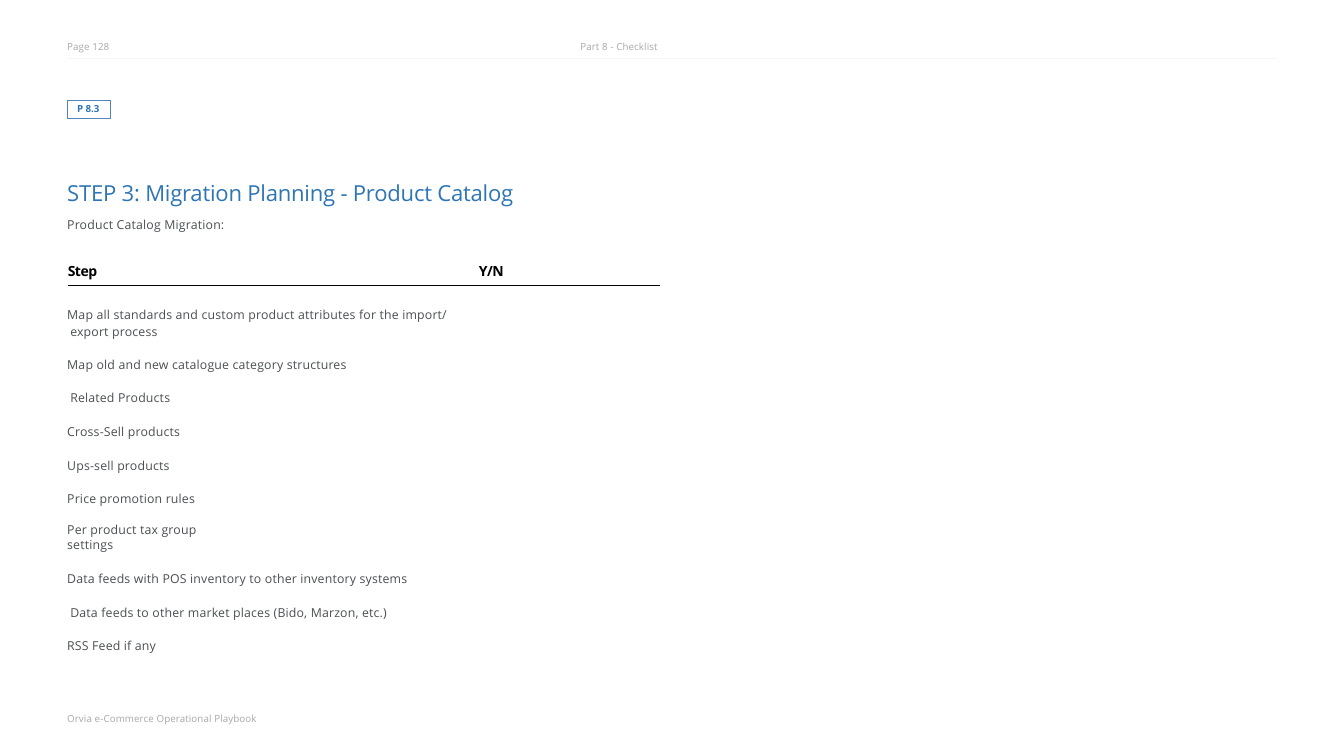
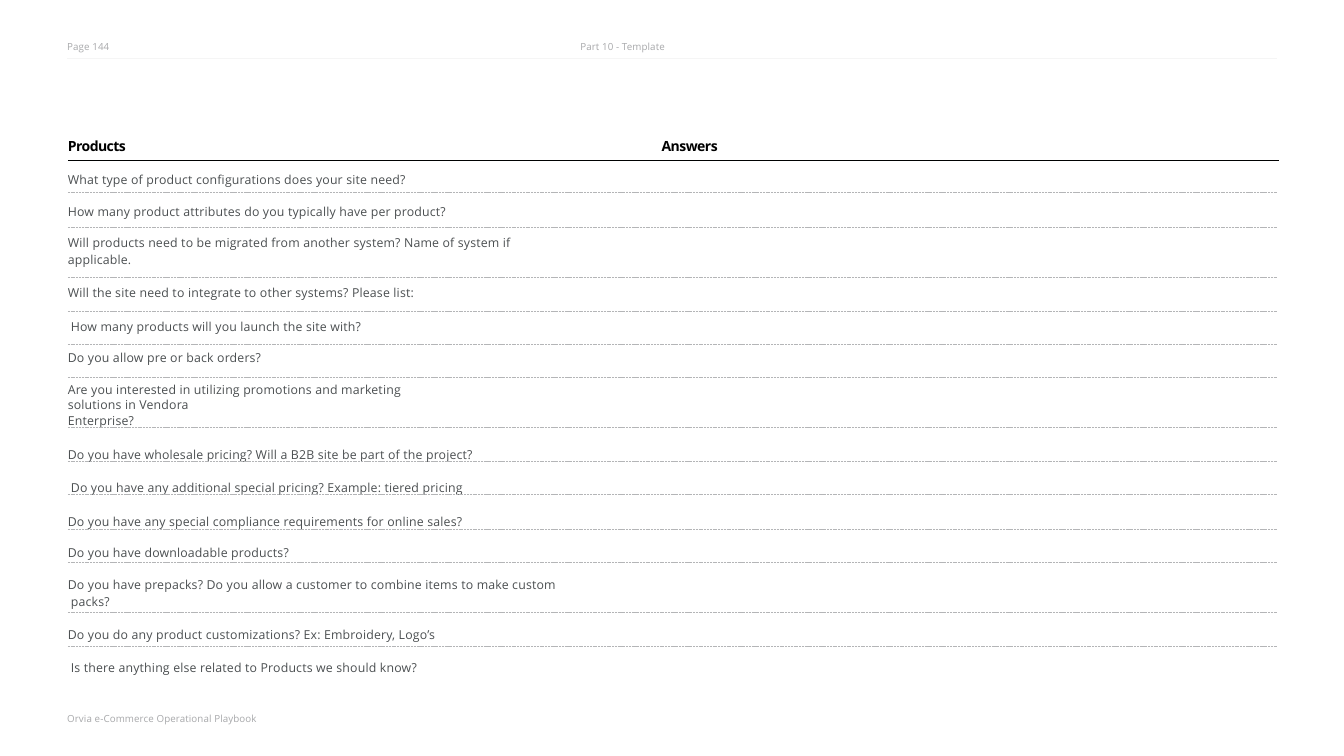
import dataclasses

import lxml.etree
import pptx
import pptx.dml.color
import pptx.enum.dml
import pptx.enum.shapes
import pptx.enum.text
import pptx.oxml.ns
import pptx.util

WIDTH = pptx.util.Inches(21.99)
HEIGHT = pptx.util.Inches(12.37)
GRID_COLUMNS = 22
LEFT, RIGHT = 1.1, 20.9
HEAD_INSET = 0.01
HEAD_HEIGHT = 0.39
WORD_SPACE = 0.05
PLAIN_TABLE = "{2D5ABB26-0587-4C30-8999-92F81FD0307C}"
SHIFTED = {"first": WORD_SPACE, "rest": WORD_SPACE}
SOLID = pptx.enum.dml.MSO_LINE.SOLID
DOTTED = pptx.enum.dml.MSO_LINE.SQUARE_DOT

COLORS = {
    "blue": "2E75B5",
    "badge": "5383BD",
    "body": "4B4F51",
    "muted": "A7A8AA",
    "head": "000000",
    "rule": "000101",
    "dots": "B4B5B7",
    "band": "F5F5F5",
}

STYLES = {
    "title": {"size": 26, "bold": False, "color": "blue", "tracking": -27},
    "body": {"size": 14.5, "bold": False, "color": "body", "tracking": 20},
    "head": {"size": 16.5, "bold": True, "color": "head", "tracking": -60},
    "muted": {"size": 11.5, "bold": False, "color": "muted", "tracking": 10},
    "badge": {"size": 11.5, "bold": True, "color": "blue", "tracking": -10},
}

FRAME = {
    "margin_left": 0,
    "margin_top": 0,
    "margin_right": 0,
    "margin_bottom": 0,
    "word_wrap": True,
    "auto_size": pptx.enum.text.MSO_AUTO_SIZE.NONE,
    "vertical_anchor": pptx.enum.text.MSO_ANCHOR.TOP,
}


@dataclasses.dataclass
class Row:
    top: float
    lines: tuple
    first: float = 0
    rest: float = 0
    leading: float = 1.0


def row(top, *lines, **options):
    return Row(top, lines, **options)


def grid(count):
    return round(WIDTH / GRID_COLUMNS * count)


def color(name):
    return pptx.dml.color.RGBColor.from_string(COLORS[name])


def apply(target, values):
    for name, value in values.items():
        setattr(target, name, value)


def style_span(span, style):
    look = STYLES[style]
    apply(span.font, {
        "name": "Open Sans",
        "size": pptx.util.Pt(look["size"]),
        "bold": look["bold"],
    })
    span.font.color.rgb = color(look["color"])
    span.font._element.set("spc", str(look["tracking"]))


def write_lines(para, lines, style, first=0, rest=0, leading=1.0, align="LEFT"):
    properties = para._p.get_or_add_pPr()
    properties.set("marL", str(grid(rest)))
    properties.set("indent", str(grid(first - rest)))
    lxml.etree.SubElement(properties, pptx.oxml.ns.qn("a:buNone"))
    apply(para, {
        "alignment": getattr(pptx.enum.text.PP_ALIGN, align),
        "space_before": pptx.util.Pt(0),
        "line_spacing": leading,
    })
    for index, line in enumerate(lines):
        if index:
            para.add_line_break()
        span = para.add_run()
        span.text = line
        style_span(span, style)


def fill_box(box, text, style, **options):
    apply(box.text_frame, FRAME)
    write_lines(box.text_frame.paragraphs[0], (text,), style, **options)


def add_label(page, place, text, style):
    fill_box(page.shapes.add_textbox(*map(grid, place)), text, style)


def fill_placeholder(holder, place, text, style):
    apply(holder, dict(zip(("left", "top", "width", "height"), map(grid, place))))
    fill_box(holder, text, style)


def add_badge(page, place, text):
    badge = page.shapes.add_shape(
        pptx.enum.shapes.MSO_SHAPE.RECTANGLE, *map(grid, place))
    badge.shadow.inherit = False
    badge.fill.background()
    badge.line.color.rgb = color("badge")
    badge.line.width = pptx.util.Pt(0.82)
    fill_box(badge, text, "badge", align="CENTER")
    apply(badge.text_frame, {
        "vertical_anchor": pptx.enum.text.MSO_ANCHOR.MIDDLE,
        "margin_bottom": grid(0.03),
        "margin_right": grid(0.02),
    })


def add_rule(page, left, right, top, name, weight=0.82, dash=SOLID):
    rule = page.shapes.add_connector(
        pptx.enum.shapes.MSO_CONNECTOR.STRAIGHT,
        grid(left), grid(top), grid(right), grid(top))
    rule.line.color.rgb = color(name)
    apply(rule.line, {"width": pptx.util.Pt(weight), "dash_style": dash})
    lxml.etree.SubElement(rule._element.spPr, pptx.oxml.ns.qn("a:effectLst"))


def add_frame(page, number, part):
    add_rule(page, LEFT, RIGHT, 0.95, "band", weight=0.1)
    add_label(page, (LEFT, 0.66, 2, 0.22), number, "muted")
    add_label(page, (9.5, 0.66, 3, 0.22), part, "muted")
    add_label(page, (LEFT, 11.67, 6, 0.25),
              "Orvia e-Commerce Operational Playbook", "muted")


def fill_cell(cell, item, lines, style, inset, pad):
    apply(cell, {
        "margin_left": grid(inset),
        "margin_right": 0,
        "margin_top": grid(pad),
        "margin_bottom": 0,
    })
    cell.fill.background()
    write_lines(cell.text_frame.paragraphs[0], lines, style,
                item.first, item.rest, item.leading)


def add_form(page, top, bottom, widths, heads, rows, inset):
    items = [row(top, *heads), *rows]
    tops = [item.top for item in items] + [bottom]
    table = page.shapes.add_table(
        len(items), len(widths), grid(LEFT), grid(top),
        grid(sum(widths)), grid(bottom - top)).table
    apply(table, {"first_row": False, "horz_banding": False})
    table._tbl.tblPr.find(pptx.oxml.ns.qn("a:tableStyleId")).text = PLAIN_TABLE
    for column, width in zip(table.columns, widths):
        column.width = grid(width)
    for index, item in enumerate(items):
        table.rows[index].height = grid(tops[index + 1] - tops[index])
        cells = table.rows[index].cells
        if index == 0:
            for cell, head in zip(cells, heads):
                fill_cell(cell, item, (head,), "head", HEAD_INSET, 0.01)
        else:
            for cell, lines in zip(cells, (item.lines, ())):
                fill_cell(cell, item, lines, "body", inset, 0)
    add_rule(page, LEFT + HEAD_INSET, LEFT + sum(widths), top + HEAD_HEIGHT, "rule")


def build_checklist(deck):
    page = deck.slides.add_slide(deck.slide_layouts[1])
    add_frame(page, "Page 128", "Part 8 - Checklist")
    add_badge(page, (1.11, 1.65, 0.69, 0.28), "P 8.3")
    title, subtitle = page.placeholders
    fill_placeholder(title, (LEFT, 2.94, 9, 0.5),
                     "STEP 3: Migration Planning - Product Catalog", "title")
    fill_placeholder(subtitle, (LEFT, 3.56, 9, 0.3),
                     "Product Catalog Migration:", "body")
    rows = [
        row(5.02, "Map all standards and custom product attributes for the import/",
            "export process", rest=WORD_SPACE),
        row(5.83, "Map old and new catalogue category structures"),
        row(6.38, "Related Products", **SHIFTED),
        row(6.93, "Cross-Sell products"),
        row(7.48, "Ups-sell products"),
        row(8.03, "Price promotion rules"),
        row(8.56, "Per product tax group", "settings", leading=0.9),
        row(9.34, "Data feeds with POS inventory to other inventory systems"),
        row(9.89, "Data feeds to other market places (Bido, Marzon, etc.)", **SHIFTED),
        row(10.44, "RSS Feed if any"),
    ]
    add_form(page, 4.28, 10.8, (6.73, 2.98), ("Step", "Y/N"), rows, 0)


def build_template(deck):
    page = deck.slides.add_slide(deck.slide_layouts[6])
    add_frame(page, "Page 144", "Part 10 - Template")
    rows = [
        row(2.81, "What type of product configurations does your site need?"),
        row(3.33, "How many product attributes do you typically have per product?"),
        row(3.84, "Will products need to be migrated from another system? Name of system if",
            "applicable."),
        row(4.66, "Will the site need to integrate to other systems? Please list:"),
        row(5.21, "How many products will you launch the site with?", **SHIFTED),
        row(5.72, "Do you allow pre or back orders?"),
        row(6.26, "Are you interested in utilizing promotions and marketing",
            "solutions in Vendora", "Enterprise?", leading=0.92),
        row(7.31, "Do you have wholesale pricing? Will a B2B site be part of the project?"),
        row(7.85, "Do you have any additional special pricing? Example: tiered pricing",
            **SHIFTED),
        row(8.4, "Do you have any special compliance requirements for online sales?"),
        row(8.91, "Do you have downloadable products?"),
        row(9.44, "Do you have prepacks? Do you allow a customer to combine items to make custom",
            "packs?", rest=WORD_SPACE),
        row(10.25, "Do you do any product customizations? Ex: Embroidery, Logo’s"),
        row(10.79, "Is there anything else related to Products we should know?", **SHIFTED),
    ]
    add_form(page, 2.23, 11.2, (9.72, 10.11), ("Products", "Answers"), rows, HEAD_INSET)
    for top in (3.15, 3.72, 4.54, 5.09, 5.63, 6.18, 7, 7.56, 8.1, 8.66, 9.21, 10.03, 10.58):
        add_rule(page, LEFT + HEAD_INSET, RIGHT, top, "dots", dash=DOTTED)


def main():
    deck = pptx.Presentation()
    apply(deck, {"slide_width": WIDTH, "slide_height": HEIGHT})
    build_checklist(deck)
    build_template(deck)
    deck.save("out.pptx")


if __name__ == "__main__":
    main()
